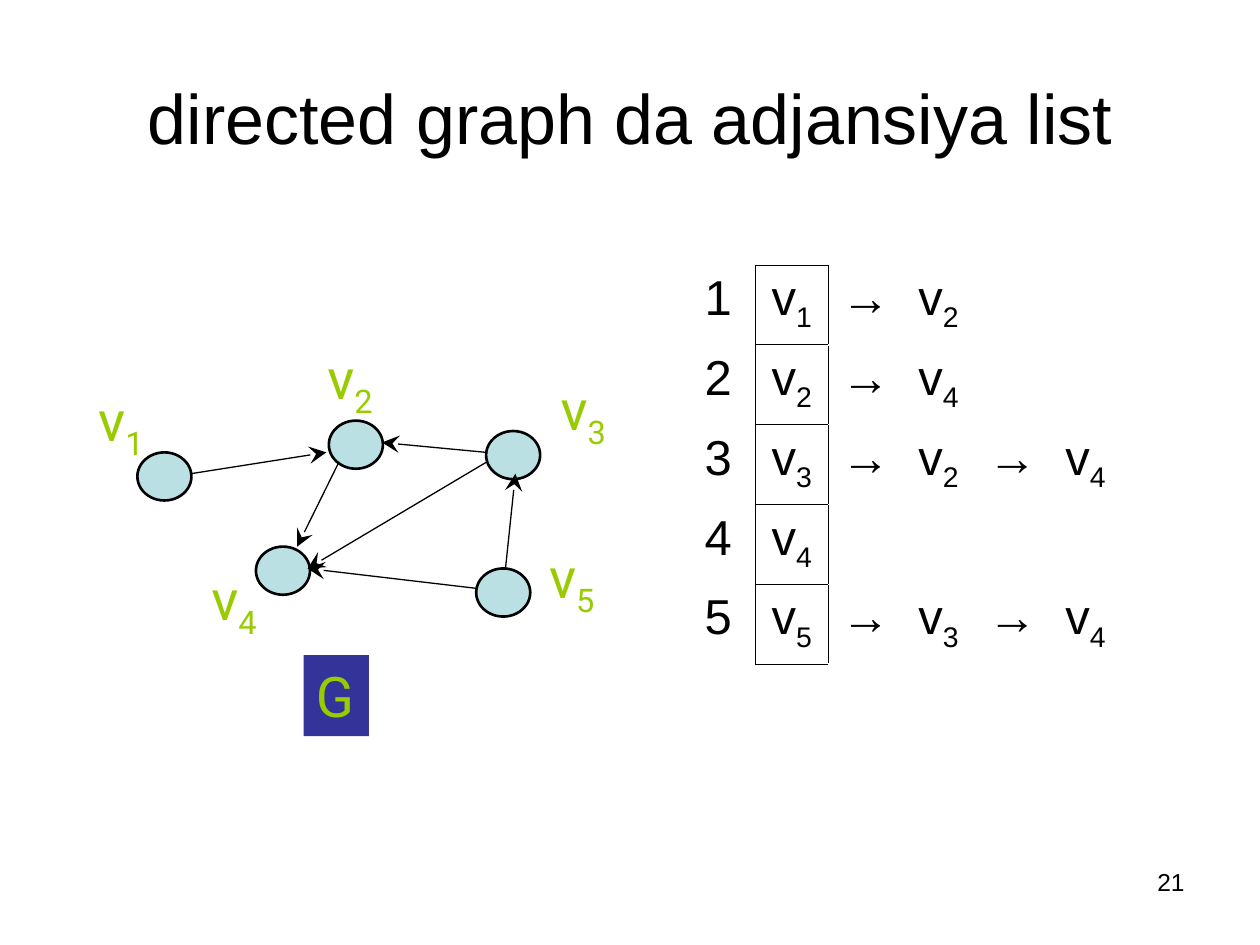
"""Build a slide showing a directed graph beside its adjacency list."""
import dataclasses
import typing

import lxml.etree
import pptx
import pptx.dml.color
import pptx.enum.shapes
import pptx.enum.text
import pptx.oxml.ns
import pptx.util

Cm = pptx.util.Cm
Pt = pptx.util.Pt
qn = pptx.oxml.ns.qn
Align = pptx.enum.text.PP_ALIGN
Preset = pptx.enum.shapes.MSO_SHAPE

BLACK, WHITE, GREEN, NAVY, AQUA = "000000", "FFFFFF", "99CC00", "333399", "BBE0E3"
NODE_WIDTH, NODE_HEIGHT = 1.09, 0.97
LABEL_WIDTH, LABEL_HEIGHT = 1.45, 1.8
CELL_WIDTH, CELL_HEIGHT = 1.48, 1.61
BORDERED_SIDES = {0: ["R"], 1: ["L", "R", "T", "B"], 2: ["L"]}


@dataclasses.dataclass(frozen=True)
class Node:
    name: str
    left: float
    top: float
    label_left: float
    label_top: float


@dataclasses.dataclass(frozen=True)
class Edge:
    start_x: float
    start_y: float
    end_x: float
    end_y: float


NODES = [
    Node("v1", 2.77, 9.12, 1.73, 7.65),
    Node("v2", 6.63, 8.48, 6.35, 6.81),
    Node("v3", 9.8, 8.69, 11.05, 7.42),
    Node("v4", 5.16, 11.02, 4.01, 11.25),
    Node("v5", 9.6, 11.46, 10.82, 10.82),
]
EDGES = [
    Edge(9.8, 9.12, 7.7, 8.92),
    Edge(9.6, 11.86, 6.2, 11.46),
    Edge(9.8, 9.32, 6.2, 11.46),
    Edge(6.83, 9.32, 5.99, 11.02),
    Edge(3.84, 9.55, 6.58, 9.12),
    Edge(10.19, 11.46, 10.39, 9.55),
]
ADJACENCY = {"v1": ["v2"], "v2": ["v4"], "v3": ["v2", "v4"], "v4": [], "v5": ["v3", "v4"]}


def color(value: str) -> pptx.dml.color.RGBColor:
    return pptx.dml.color.RGBColor.from_string(value)


def write(text_frame: typing.Any, text: str, size: float, font: str = "Arial",
          ink: str = BLACK, align: typing.Any = Align.LEFT) -> None:
    """Write text, lowering the index of a vertex name such as v1."""
    paragraph = text_frame.paragraphs[0]
    paragraph.alignment = align
    is_vertex = text in ADJACENCY
    paragraph.text = text[0] if is_vertex else text
    if is_vertex:
        index = paragraph.add_run()
        index.text = text[1:]
        index._r.get_or_add_rPr().set("baseline", "-25000")
    for run in paragraph.runs:
        run.font.size = Pt(size)
        run.font.name = font
        run.font.color.rgb = color(ink)


def add_text(shapes: typing.Any, text: str, left: float, top: float, width: float,
             height: float, size: float, **style: typing.Any) -> typing.Any:
    shape = shapes.add_textbox(Cm(left), Cm(top), Cm(width), Cm(height))
    shape.text_frame.word_wrap = True
    write(shape.text_frame, text, size, **style)
    return shape


def add_label(shapes: typing.Any, text: str, left: float, top: float,
              width: float, height: float) -> typing.Any:
    label = add_text(shapes, text, left, top, width, height, 32, font="Roboto", ink=GREEN)
    label.text_frame.word_wrap = False
    label.text_frame.auto_size = pptx.enum.text.MSO_AUTO_SIZE.SHAPE_TO_FIT_TEXT
    return label


def add_node(shapes: typing.Any, node: Node) -> None:
    shape = shapes.add_shape(Preset.OVAL, Cm(node.left), Cm(node.top),
                             Cm(NODE_WIDTH), Cm(NODE_HEIGHT))
    shape.shadow.inherit = False
    shape.fill.solid()
    shape.fill.fore_color.rgb = color(AQUA)
    shape.line.color.rgb = color(BLACK)
    shape.line.width = Pt(1.5)


def add_edge(shapes: typing.Any, edge: Edge) -> None:
    connector = shapes.add_connector(
        pptx.enum.shapes.MSO_CONNECTOR.STRAIGHT,
        Cm(edge.start_x), Cm(edge.start_y), Cm(edge.end_x), Cm(edge.end_y))
    connector.line.color.rgb = color(BLACK)
    connector.line.width = Pt(0.75)
    lxml.etree.SubElement(connector.line._get_or_add_ln(), qn("a:tailEnd"),
                          type="stealth", w="lg", len="lg")
    lxml.etree.SubElement(connector._element.spPr, qn("a:effectLst"))


def add_border(cell: typing.Any, side: str) -> None:
    border = lxml.etree.SubElement(cell._tc.get_or_add_tcPr(), qn(f"a:ln{side}"),
                                   w=str(int(Pt(0.45))))
    fill = lxml.etree.SubElement(border, qn("a:solidFill"))
    lxml.etree.SubElement(fill, qn("a:srgbClr"), val=BLACK)


def add_adjacency_table(shapes: typing.Any) -> None:
    rows, columns = len(ADJACENCY), 6
    table = shapes.add_table(rows, columns, Cm(13.74), Cm(5.34),
                             Cm(columns * CELL_WIDTH), Cm(rows * CELL_HEIGHT)).table
    table.first_row = False
    table.horz_banding = False
    for column in table.columns:
        column.width = Cm(CELL_WIDTH)
    for number, (vertex, neighbours) in enumerate(ADJACENCY.items(), start=1):
        row = table.rows[number - 1]
        row.height = Cm(CELL_HEIGHT)
        texts = [str(number), vertex]
        for neighbour in neighbours:
            texts += ["→", neighbour]
        for position, cell in enumerate(row.cells):
            for side in BORDERED_SIDES.get(position, []):
                add_border(cell, side)
            cell.fill.background()
            if position < len(texts):
                write(cell.text_frame, texts[position], 28, align=Align.CENTER)


def main() -> None:
    presentation = pptx.Presentation()
    presentation.slide_width = Cm(25.4)
    presentation.slide_height = Cm(19.05)
    slide = presentation.slides.add_slide(presentation.slide_layouts[6])
    slide.background.fill.solid()
    slide.background.fill.fore_color.rgb = color(WHITE)

    add_text(slide.shapes, "21", 18.21, 17.35, 5.92, 1.32, 14, align=Align.RIGHT)
    title = add_text(slide.shapes, "directed graph da adjansiya list",
                     1.27, 0.76, 22.86, 3.18, 40, align=Align.CENTER)
    title.text_frame.vertical_anchor = pptx.enum.text.MSO_ANCHOR.MIDDLE

    graph = slide.shapes.add_group_shape().shapes
    for node in NODES:
        add_node(graph, node)
    for edge in EDGES:
        add_edge(graph, edge)
    for node in NODES:
        add_label(graph, node.name, node.label_left, node.label_top,
                  LABEL_WIDTH, LABEL_HEIGHT)
    graph_name = add_label(graph, "G", 6.12, 13.21, 1.32, 1.63)
    graph_name.fill.solid()
    graph_name.fill.fore_color.rgb = color(NAVY)

    add_adjacency_table(slide.shapes)
    presentation.save("out.pptx")


if __name__ == "__main__":
    main()
